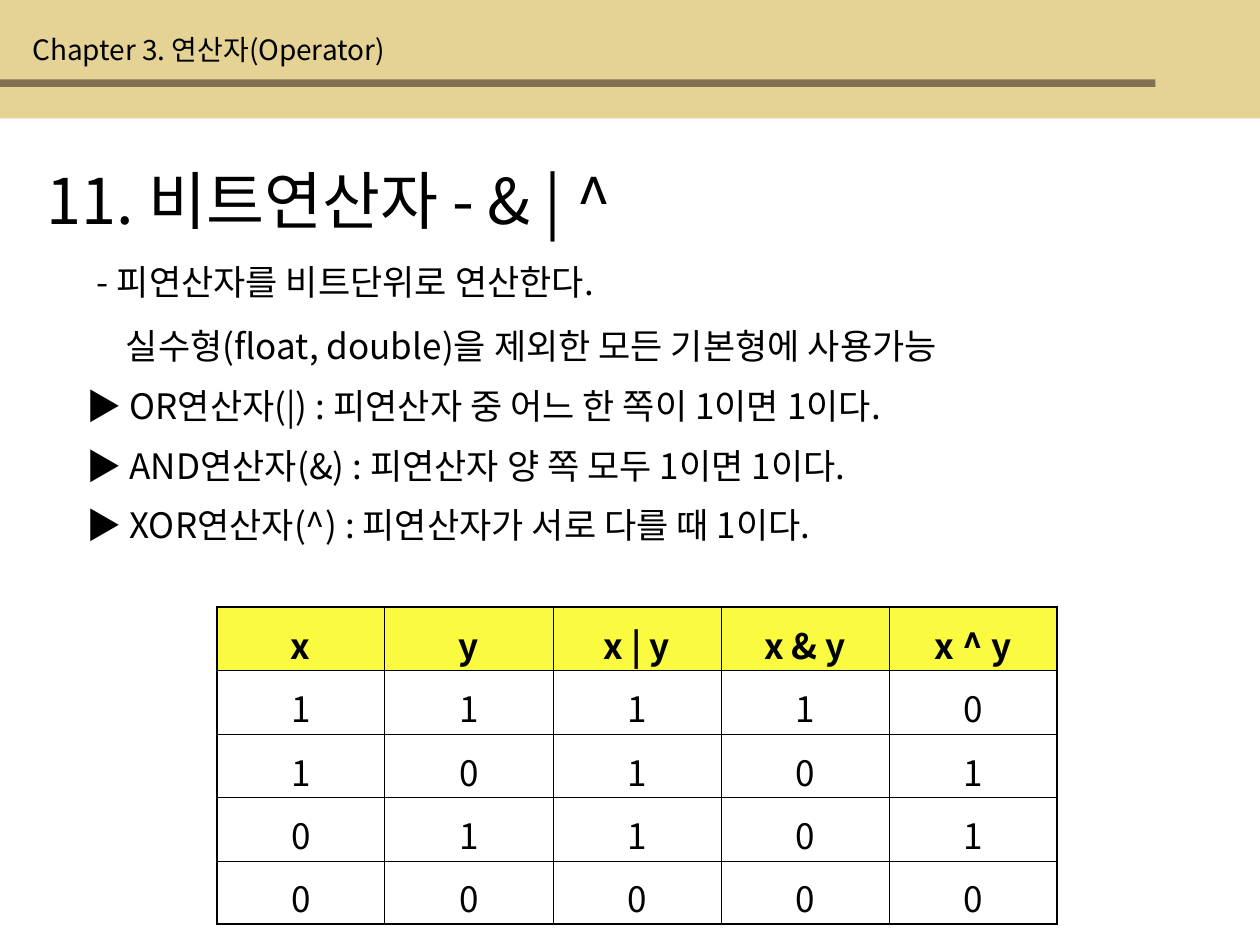
"""Builds the slide on the bitwise operators with their truth table."""
from dataclasses import dataclass

from lxml.etree import SubElement
from pptx import Presentation
from pptx.dml.color import RGBColor
from pptx.enum.shapes import MSO_SHAPE
from pptx.enum.text import MSO_ANCHOR, MSO_AUTO_SIZE, PP_ALIGN
from pptx.oxml.ns import qn
from pptx.util import Inches, Pt


@dataclass(frozen=True)
class Theme:
    font: str = "Noto Sans CJK KR"
    ink: str = "000000"
    band: str = "E4D394"
    rule: str = "817051"
    header: str = "FAFA40"
    chapter_size: float = 16
    title_size: float = 36
    body_size: float = 20
    outer_line: float = 1.08
    inner_line: float = 0.45


THEME = Theme()


def style(paragraph, size, align=PP_ALIGN.LEFT, bold=False):
    paragraph.alignment = align
    font = paragraph.font
    font.size, font.bold, font.name = Pt(size), bold, THEME.font
    font.color.rgb = RGBColor.from_string(THEME.ink)
    defaults = paragraph._p.pPr.find(qn("a:defRPr"))
    SubElement(defaults, qn("a:ea")).set("typeface", THEME.font)


def fill_box(box, lines, size, place):
    box.left, box.top, box.width, box.height = [Inches(v) for v in place]
    frame = box.text_frame
    frame.word_wrap = True
    frame.auto_size = MSO_AUTO_SIZE.NONE
    frame.vertical_anchor = MSO_ANCHOR.TOP
    frame.text = "\n".join(lines)
    for paragraph in frame.paragraphs:
        style(paragraph, size)
    return frame


prs = Presentation()
prs.slide_width, prs.slide_height = Inches(10), Inches(7.5)
slide = prs.slides.add_slide(prs.slide_layouts[5])
shapes = slide.shapes

for top, width, height, color in [(0, 10, 0.94, THEME.band), (0.63, 9.17, 0.06, THEME.rule)]:
    bar = shapes.add_shape(MSO_SHAPE.RECTANGLE, 0, Inches(top), Inches(width), Inches(height))
    bar.shadow.inherit = False
    bar.fill.solid()
    bar.fill.fore_color.rgb = RGBColor.from_string(color)
    bar.line.fill.background()

fill_box(shapes.add_textbox(0, 0, 0, 0), ["Chapter 3. 연산자(Operator)"],
         THEME.chapter_size, (0.16, 0.21, 4.33, 0.37))
fill_box(shapes.title, ["11. 비트연산자 - & | ^"], THEME.title_size, (0.27, 1.23, 9.45, 0.7))

summary = fill_box(
    shapes.add_textbox(0, 0, 0, 0),
    ["- 피연산자를 비트단위로 연산한다.", "실수형(float, double)을 제외한 모든 기본형에 사용가능"],
    THEME.body_size, (0.67, 2.02, 8.35, 0.94))
continuation = summary.paragraphs[1]
continuation.space_before = Pt(12.5)
continuation._p.pPr.set("marL", str(Inches(0.23)))

operators = [
    "▶ OR연산자(|) : 피연산자 중 어느 한 쪽이 1이면 1이다.",
    "▶ AND연산자(&) : 피연산자 양 쪽 모두 1이면 1이다.",
    "▶ XOR연산자(^) : 피연산자가 서로 다를 때 1이다.",
]
for index, rule in enumerate(operators):
    fill_box(shapes.add_textbox(0, 0, 0, 0), [rule], THEME.body_size,
             (0.59, 3 + 0.475 * index, 9.33, 0.44))

truth_rows = [["x", "y", "x | y", "x & y", "x ^ y"]]
for x, y in [(1, 1), (1, 0), (0, 1), (0, 0)]:
    truth_rows.append([str(bit) for bit in (x, y, x | y, x & y, x ^ y)])
row_count, column_count = len(truth_rows), len(truth_rows[0])

truth_table = shapes.add_table(row_count, column_count, Inches(1.72), Inches(4.82),
                               Inches(6.67), Inches(2.18)).table
for row in truth_table.rows:
    row.height = Inches(0.436)

for r, values in enumerate(truth_rows):
    for c, value in enumerate(values):
        cell = truth_table.cell(r, c)
        cell.text = value
        cell.margin_top, cell.margin_bottom = Inches(0.09), Inches(0.01)
        style(cell.text_frame.paragraphs[0], THEME.body_size, PP_ALIGN.CENTER, r == 0)
        edges = {"lnL": c == 0, "lnR": c == column_count - 1,
                 "lnT": r == 0, "lnB": r == row_count - 1}
        for edge, outer in edges.items():
            line_width = THEME.outer_line if outer else THEME.inner_line
            border = SubElement(cell._tc.get_or_add_tcPr(), qn(f"a:{edge}"), w=str(Pt(line_width)))
            paint = SubElement(border, qn("a:solidFill"))
            SubElement(paint, qn("a:srgbClr"), val=THEME.ink)
        if r == 0:
            cell.fill.solid()
            cell.fill.fore_color.rgb = RGBColor.from_string(THEME.header)
        else:
            cell.fill.background()

prs.save("out.pptx")
